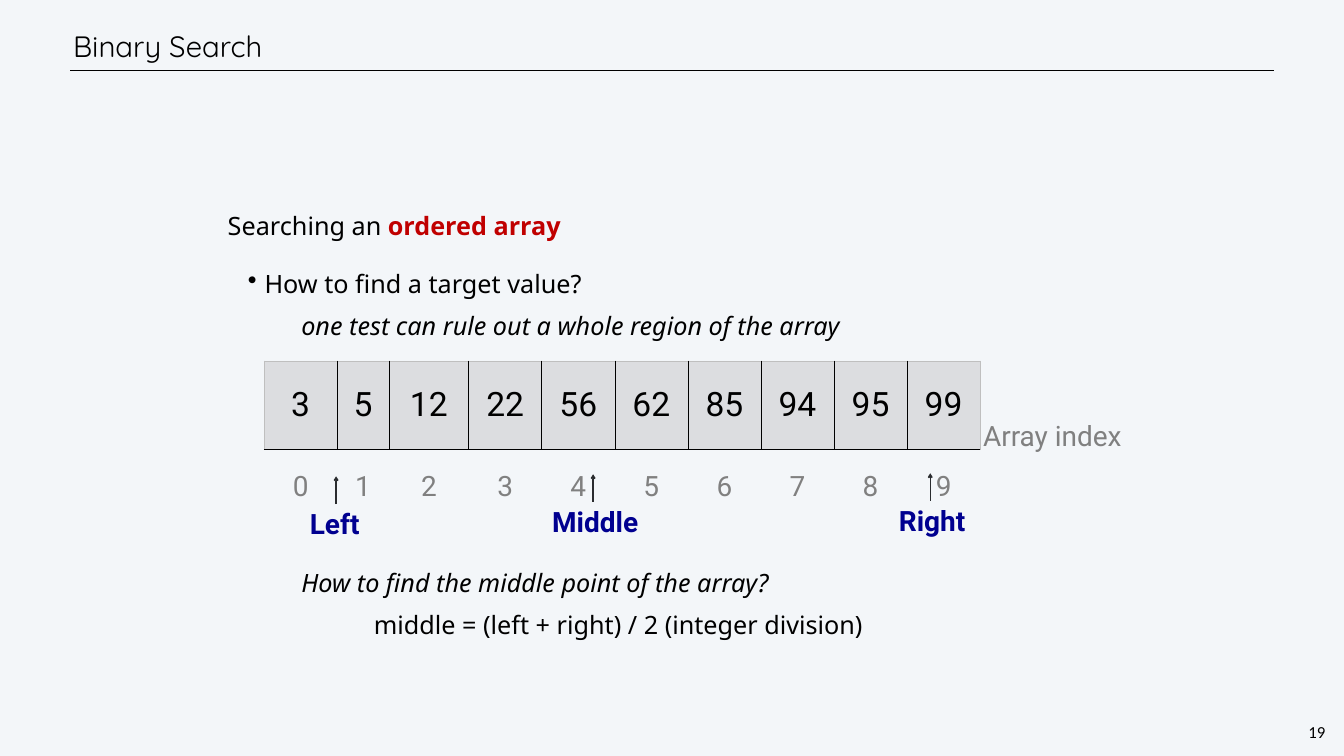
import pptx
import pptx.util
import pptx.dml.color
import pptx.enum.shapes
import pptx.enum.text
import pptx.oxml
import pptx.oxml.ns

Pt, Inches = pptx.util.Pt, pptx.util.Inches
RGBColor = pptx.dml.color.RGBColor
PP_ALIGN = pptx.enum.text.PP_ALIGN
ANCHOR = pptx.enum.text.MSO_ANCHOR
AUTO = pptx.enum.text.MSO_AUTO_SIZE

COLS, ROWS = 26.67, 15
BACKGROUND = RGBColor(0xF3, 0xF6, 0xF9)
BLACK = RGBColor(0, 0, 0)
RED = RGBColor(0xC0, 0, 0)
GREY = RGBColor(0x80, 0x80, 0x80)
CELL_GREY = RGBColor(0xDC, 0xDD, 0xE0)
EDGE_GREY = RGBColor(0xBF, 0xBF, 0xBF)
NAVY = RGBColor(0, 0, 0x90)
ARROW = RGBColor(0x2A, 0x2C, 0x2F)
NO_TABLE_STYLE = "{2D5ABB26-0587-4C30-8999-92F81FD0307C}"

VALUES = [3, 5, 12, 22, 56, 62, 85, 94, 95, 99]
WIDTHS = [1.45, 1.03, 1.58] + [1.45] * 7
LINE, GAP = Pt(43), Pt(18)
# The array sits in the space of five lines of body text.
ARRAY_GAP = 5 * (LINE + GAP) + GAP


def element(parent, tag, **attributes):
    child = parent.makeelement(pptx.oxml.ns.qn(tag), attributes)
    parent.append(child)
    return child


class SlideBuilder:
    """Draws on one slide over a grid of one-inch columns and rows."""

    def __init__(self, prs):
        self.s = prs.slides.add_slide(prs.slide_layouts[5])
        self.s.background.fill.solid()
        self.s.background.fill.fore_color.rgb = BACKGROUND

    def run(self, p, text, color=BLACK, **font):
        r = p.add_run()
        r.text = text
        r.font.color.rgb = color
        for name, value in font.items():
            setattr(r.font, name, value)

    def frame(self, tf, inset=None, **values):
        if inset is not None:
            for side in ("left", "top", "right", "bottom"):
                setattr(tf, "margin_" + side, Inches(inset))
        for name, value in values.items():
            setattr(tf, name, value)
        return tf

    def title(self, text, *box):
        sp = self.s.shapes.title
        sp.left, sp.top, sp.width, sp.height = map(Inches, box)
        tf = self.frame(sp.text_frame, 0.06, auto_size=AUTO.NONE,
                        vertical_anchor=ANCHOR.MIDDLE)
        p = tf.paragraphs[0]
        p.alignment, p.line_spacing = PP_ALIGN.LEFT, Pt(50)
        self.run(p, text, name="Quicksand", size=Pt(42))

    def label(self, text, box, color, align=PP_ALIGN.LEFT, spacing=None,
              inset=None, wrap=False, **font):
        sp = self.s.shapes.add_textbox(*map(Inches, box))
        tf = self.frame(sp.text_frame, inset, word_wrap=wrap,
                        auto_size=AUTO.SHAPE_TO_FIT_TEXT)
        p = tf.paragraphs[0]
        p.alignment, p.line_spacing = align, spacing
        self.run(p, text, color, **font)
        return sp

    def body(self, box, paragraphs):
        sp = self.s.shapes.add_textbox(*map(Inches, box))
        tf = self.frame(sp.text_frame, 0.06, word_wrap=True)
        for i, (margin, indent, bullet, formats, runs) in enumerate(paragraphs):
            p = tf.add_paragraph() if i else tf.paragraphs[0]
            for name, value in formats.items():
                setattr(p, name, value)
            pPr = p._p.get_or_add_pPr()
            pPr.set("marL", str(Inches(margin)))
            pPr.set("indent", str(Inches(indent)))
            if bullet:
                element(pPr, "a:buSzPct", val="104000")
                element(pPr, "a:buChar", char=bullet)
            for text, font in runs:
                self.run(p, text, name="Noto Sans", size=Pt(36), **font)

    def line(self, x1, y1, x2, y2, color, width, arrow=False):
        c = self.s.shapes.add_connector(
            pptx.enum.shapes.MSO_CONNECTOR.STRAIGHT,
            *map(Inches, (x1, y1, x2, y2)))
        c.line.color.rgb, c.line.width = color, Pt(width)
        if arrow:
            element(c.line._get_or_add_ln(), "a:tailEnd", type="arrow")
        element(c._element.spPr, "a:effectLst")
        return c

    def pointer(self, text, x, left, top, width):
        """Name an array position and point up at it."""
        sp = self.label(text, (left, top, width, 0.77), NAVY,
                        name="Roboto", size=Pt(40), bold=True)
        return sp, self.line(x, top, x, top - 0.55, ARROW, 2, arrow=True)

    def borders(self, cell, **colors):
        tcPr = cell._tc.get_or_add_tcPr()
        for side in "LRTB":
            if side in colors:
                ln = element(tcPr, "a:ln" + side, w=str(Pt(1)))
                fill = element(ln, "a:solidFill")
                element(fill, "a:srgbClr", val=str(colors[side]))

    def array(self, left, top, widths, heights, values):
        """Values in filled cells, with their indexes in open cells below."""
        table = self.s.shapes.add_table(
            2, len(values), *map(Inches, (left, top, sum(widths), sum(heights)))).table
        table.first_row = table.horz_banding = False
        table._tbl.tblPr.find(pptx.oxml.ns.qn("a:tableStyleId")).text = NO_TABLE_STYLE
        for row, height in zip(table.rows, heights):
            row.height = Inches(height)
        last = len(values) - 1
        for i, (value, width) in enumerate(zip(values, widths)):
            table.columns[i].width = Inches(width)
            top_cell, index_cell = table.cell(0, i), table.cell(1, i)
            self.borders(top_cell, T=EDGE_GREY, B=BLACK,
                         L=BLACK if i else EDGE_GREY,
                         R=BLACK if i < last else EDGE_GREY)
            self.borders(index_cell, T=BLACK)
            top_cell.fill.solid()
            top_cell.fill.fore_color.rgb = CELL_GREY
            index_cell.fill.background()
            for cell, text, size, color in ((top_cell, value, 48, BLACK),
                                            (index_cell, i, 40, GREY)):
                cell.margin_left = cell.margin_right = Inches(0.2)
                cell.margin_top = cell.margin_bottom = Inches(0.1)
                p = cell.text_frame.paragraphs[0]
                p.alignment, p.line_spacing = PP_ALIGN.CENTER, 1.5
                self.run(p, str(text), color, name="Roboto", size=Pt(size))


def main():
    prs = pptx.Presentation()
    prs.slide_width, prs.slide_height = Inches(COLS), Inches(ROWS)
    b = SlideBuilder(prs)

    b.line(1.39, 1.4, 25.28, 1.4, BLACK, 1)
    b.title("Binary Search", 1.39, 0.42, 22.62, 0.99)

    spaced = {"line_spacing": LINE, "space_before": GAP}
    italic = {"italic": True}
    b.body((4.36, 4.11, 19, 9.83), [
        (0, 0.1, None, {"line_spacing": LINE},
         [("Searching an ", {}), ("ordered array", {"color": RED, "bold": True})]),
        (0.83, -0.33, "•", {**spaced, "line_spacing": 1.5},
         [("How to find a target value?", {})]),
        (0, 1.56, None, spaced,
         [("one test can rule out a whole region of the array", italic)]),
        (0, 1.56, None, {**spaced, "space_before": ARRAY_GAP},
         [("How to find the middle point of the array?", italic)]),
        (3, 0, None, spaced,
         [("middle = (left + right) / 2 (integer division)", {})]),
    ])

    b.array(5.24, 7.16, WIDTHS, (1.76, 1.26), VALUES)
    b.label("Array index", (19.41, 8.25, 3.18, 0.77), GREY, wrap=True,
            name="Roboto", size=Pt(40))
    b.label("19", (25.92, 14.29, 0.42, 0.48), BLACK, PP_ALIGN.CENTER, Pt(28),
            0.04, name="Calibri", size=Pt(24))

    left_label, left_arrow = b.pointer("Left", 6.67, 6.05, 10, 1.24)
    left_arrow.begin_connect(left_label, 0)
    b.pointer("Right", 18.46, 17.74, 9.94, 1.63)
    b.pointer("Middle", 11.77, 10.86, 9.96, 1.98)

    prs.save("out.pptx")


if __name__ == "__main__":
    main()
